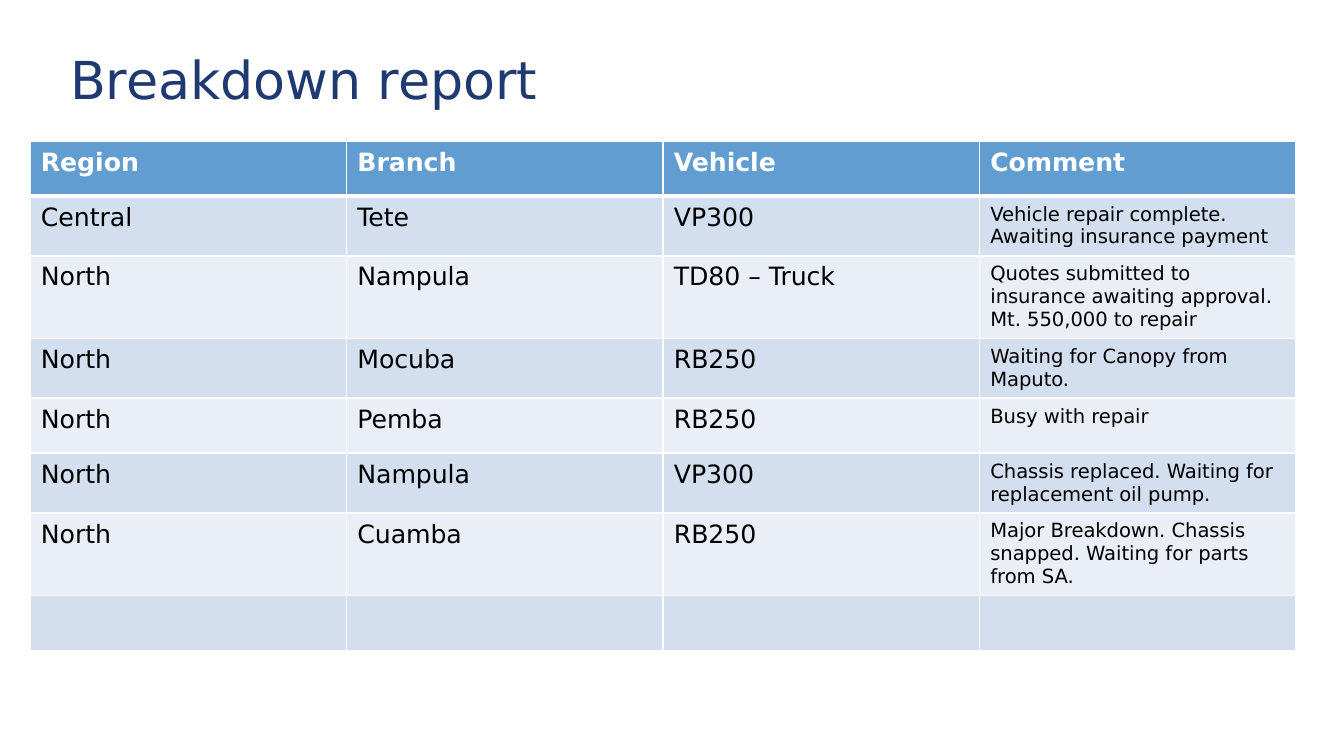
import pptx
import pptx.dml.color
import pptx.enum.text
import pptx.oxml
import pptx.oxml.ns
import pptx.util

EMU_PER_PX = 914400 / 134.4
FONT = "DejaVu Sans"
HEADER_FILL = "629DD1"
BAND_FILLS = ["D3DFEE", "EAEFF7"]
ROWS = [
    ["Region", "Branch", "Vehicle", "Comment"],
    ["Central", "Tete", "VP300", "Vehicle repair complete. Awaiting insurance payment"],
    ["North", "Nampula", "TD80 – Truck",
     "Quotes submitted to insurance awaiting approval. Mt. 550,000 to repair"],
    ["North", "Mocuba", "RB250", "Waiting for Canopy from Maputo."],
    ["North", "Pemba", "RB250", "Busy with repair"],
    ["North", "Nampula", "VP300", "Chassis replaced. Waiting for replacement oil pump."],
    ["North", "Cuamba", "RB250",
     "Major Breakdown. Chassis snapped. Waiting for parts from SA."],
    ["", "", "", ""],
]


def px(length):
    return pptx.util.Emu(round(length * EMU_PER_PX))


def color(value):
    return pptx.dml.color.RGBColor.from_string(value)


deck = pptx.Presentation()
deck.slide_width, deck.slide_height = px(1344), px(756)
page = deck.slides.add_slide(deck.slide_layouts[5])

title = page.shapes.title
title.left, title.top, title.width, title.height = px(60), px(42), px(728), px(82)
frame = title.text_frame
frame.text = "Breakdown report"
frame.word_wrap = True
frame.auto_size = pptx.enum.text.MSO_AUTO_SIZE.NONE
frame.vertical_anchor = pptx.enum.text.MSO_ANCHOR.MIDDLE
frame.margin_left = frame.margin_right = px(10)
frame.margin_top = frame.margin_bottom = px(5)
para = frame.paragraphs[0]
para.alignment = pptx.enum.text.PP_ALIGN.LEFT
para.line_spacing = 0.9
para.font.name = FONT
para.font.size = pptx.util.Pt(28)
para.font.color.rgb = color("1F3A71")

table = page.shapes.add_table(
    len(ROWS), len(ROWS[0]), px(30), px(141), px(1266), px(55 * len(ROWS))).table
for row_index, row in enumerate(ROWS):
    is_header = row_index == 0
    table.rows[row_index].height = px(55)
    for column_index, text in enumerate(row):
        cell = table.cell(row_index, column_index)
        cell.margin_left = cell.margin_right = px(11)
        cell.margin_top = cell.margin_bottom = px(7)

        properties = cell._tc.get_or_add_tcPr()
        for side in "LRTB":
            heavy = (is_header and side == "B") or (row_index == 1 and side == "T")
            width = pptx.util.Pt(3 if heavy else 1)
            properties.append(pptx.oxml.parse_xml(
                f'<a:ln{side} {pptx.oxml.ns.nsdecls("a")} w="{width}"><a:solidFill>'
                f'<a:srgbClr val="FFFFFF"/></a:solidFill></a:ln{side}>'))
        cell.fill.solid()
        cell.fill.fore_color.rgb = color(
            HEADER_FILL if is_header else BAND_FILLS[(row_index - 1) % 2])

        if text:
            is_comment = column_index == 3 and not is_header
            cell.text = text
            para = cell.text_frame.paragraphs[0]
            para.font.name = FONT
            para.font.size = pptx.util.Pt(10.5 if is_comment else 13.5)
            para.font.bold = is_header
            para.font.color.rgb = color("FFFFFF" if is_header else "000000")

deck.save("out.pptx")
